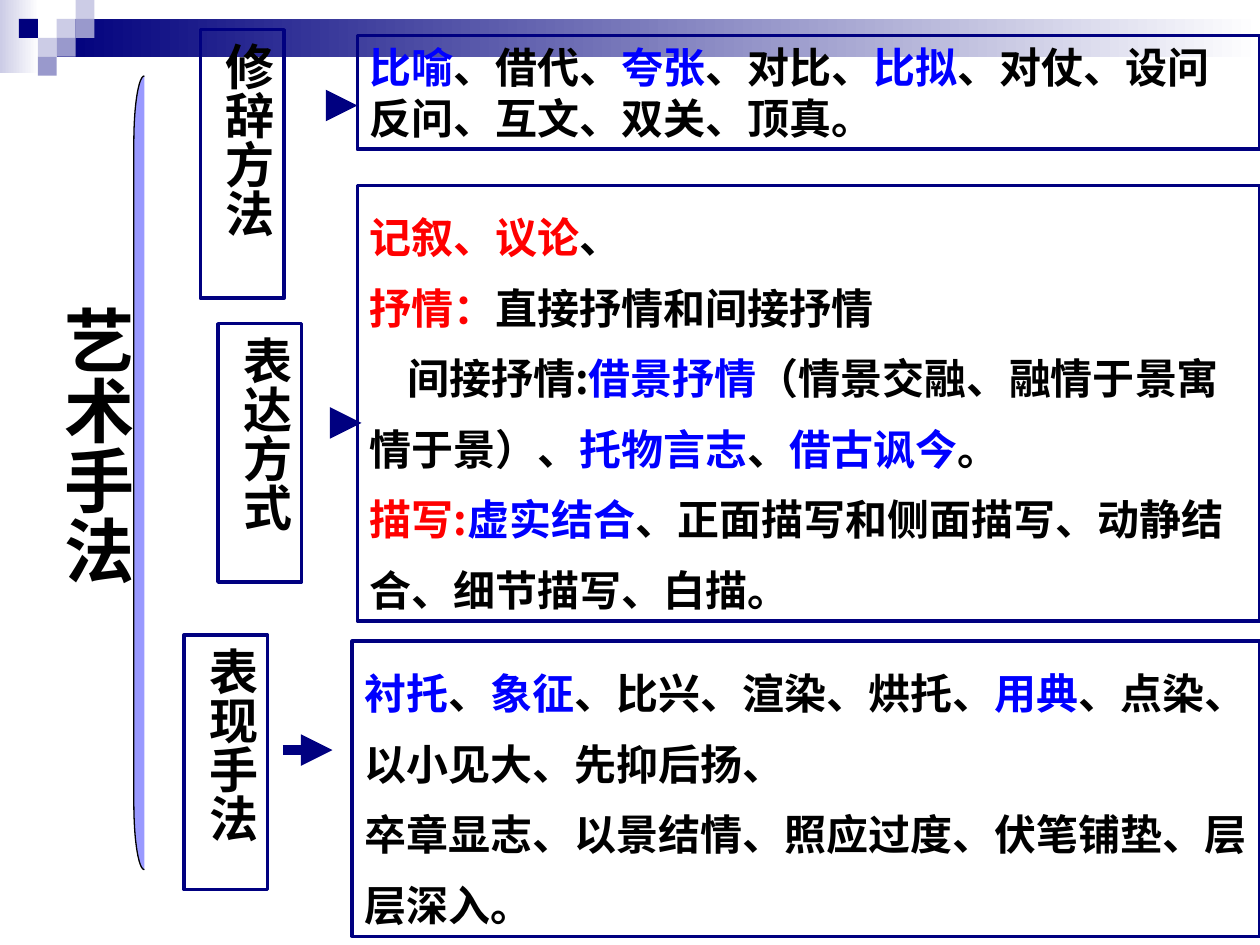
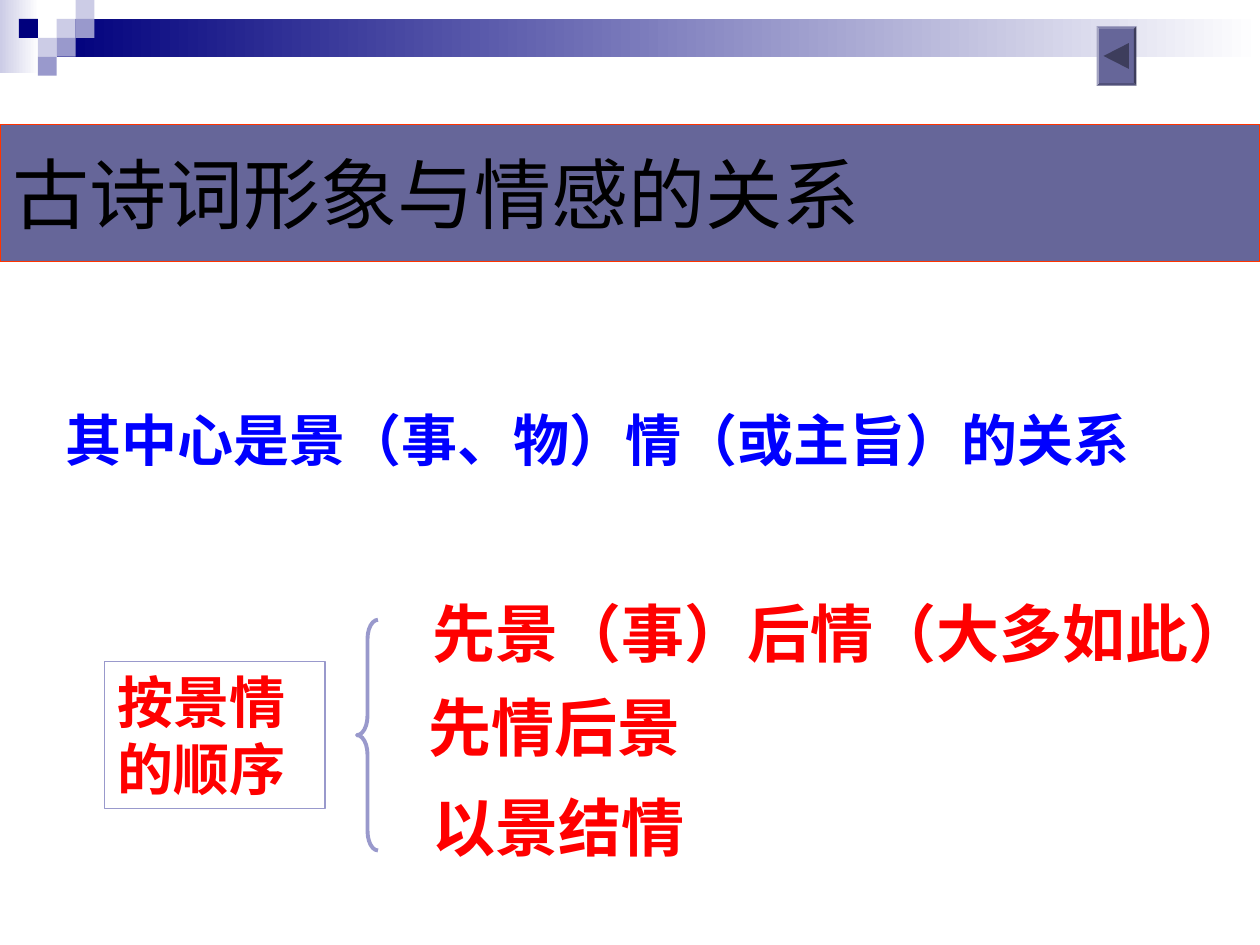
import pptx
import pptx.util
import pptx.dml.color
import pptx.enum.shapes
import pptx.enum.text
import pptx.oxml
import pptx.oxml.ns

Pt = pptx.util.Pt
RGB = pptx.dml.color.RGBColor
Kind = pptx.enum.shapes.MSO_SHAPE
Align = pptx.enum.text.PP_ALIGN

NAVY = RGB(0x00, 0x00, 0x7D)
EDGE = RGB(0x00, 0x00, 0x80)
PALE = RGB(0xCC, 0xCC, 0xE6)
LILAC = RGB(0x99, 0x99, 0xCC)
VIOLET = RGB(0x99, 0x99, 0xFF)
SLATE = RGB(0x66, 0x66, 0x99)
DARK = RGB(0x3D, 0x3D, 0x5C)
ORANGE = RGB(0xFF, 0x33, 0x00)
WHITE = RGB(0xFF, 0xFF, 0xFF)
BLACK = RGB(0x00, 0x00, 0x00)
RED = RGB(0xFF, 0x00, 0x00)
BLUE = RGB(0x00, 0x00, 0xFF)
LATIN = "Arial"
HAN = "Noto Sans CJK SC"
ROMAN = "Times New Roman"
CELL = 10.8


def draw(slide, kind, place, fill=None, edge=None, width=0.75):
    shape = slide.shapes.add_shape(kind, *[Pt(v) for v in place])
    shape.shadow.inherit = False
    if fill is None:
        shape.fill.background()
    else:
        shape.fill.solid()
        shape.fill.fore_color.rgb = fill
    if edge is None:
        shape.line.fill.background()
    else:
        shape.line.color.rgb = edge
        shape.line.width = Pt(width)
    return shape


def write(shape, rows, size, font=LATIN, bold=True, space=None, tall=False):
    frame = shape.text_frame
    frame.auto_size = pptx.enum.text.MSO_AUTO_SIZE.NONE
    frame.word_wrap = not tall
    frame.vertical_anchor = pptx.enum.text.MSO_ANCHOR.TOP
    side, end = (3.6, 7.2) if tall else (7.2, 3.6)
    frame.margin_left = frame.margin_right = Pt(side)
    frame.margin_top = frame.margin_bottom = Pt(end)
    if tall:
        frame._txBody.find(pptx.oxml.ns.qn("a:bodyPr")).set("vert", "eaVert")
    for n, row in enumerate(rows):
        para = frame.add_paragraph() if n else frame.paragraphs[0]
        para.alignment = Align.CENTER if tall else Align.LEFT
        if space:
            para.line_spacing = space
        for text, tint in row:
            run = para.add_run()
            run.text = text
            run.font.name = font
            run.font.size = Pt(size)
            run.font.bold = bold
            run.font.color.rgb = tint


deck = pptx.Presentation()
deck.slide_width = Pt(720)
deck.slide_height = Pt(540)
arts = deck.slides.add_slide(deck.slide_layouts[6])
links = deck.slides.add_slide(deck.slide_layouts[5])

fades = [((0, 0, 22.3, 41.8), PALE), ((32.4, 10.8, 687.6, 21.6), NAVY)]
tiles = [(3, 1, PALE), (4, 0, PALE), (4, 1, LILAC), (2, 2, PALE),
         (1, 1, NAVY), (3, 2, LILAC), (2, 3, LILAC)]
for slide in (arts, links):
    for place, tint in fades:
        band = draw(slide, Kind.RECTANGLE, place)
        band.fill.gradient()
        band.fill.gradient_angle = 0
        for stop, shade in zip(band.fill.gradient_stops, (tint, WHITE)):
            stop.color.rgb = shade
    for col, row, tint in tiles:
        draw(slide, Kind.RECTANGLE, (col * CELL, row * CELL, CELL, CELL), tint)

head = arts.shapes.add_textbox(Pt(20.9), Pt(167.8), Pt(61.9), Pt(175.7))
write(head, [[("艺术手法", BLACK)]], 40, tall=True)

labels = [("表达方式", 124.6, 185, 147.6), ("表现手法", 105.1, 362.9, 145.4),
          ("修辞方法", 114.5, 17, 153.4)]
for text, left, top, height in labels:
    label = draw(arts, Kind.RECTANGLE, (left, top, 47.8, height), None, EDGE, 2)
    write(label, [[(text, BLACK)]], 28, tall=True)

modes = [
    [("记叙、议论", RED), ("、", BLACK)],
    [("抒情：", RED), ("直接抒情和间接抒情", BLACK)],
    [("间接抒情:", BLACK), ("借景抒情", BLUE),
     ("（情景交融、融情于景寓情于景）、", BLACK), ("托物言志", BLUE),
     ("、", BLACK), ("借古讽今", BLUE), ("。", BLACK)],
    [("描写:", RED), ("虚实结合", BLUE),
     ("、正面描写和侧面描写、动静结合、细节描写、白描。", BLACK)],
]
skills = [
    [("衬托", BLUE), ("、", BLACK), ("象征", BLUE), ("、比兴、渲染、烘托、", BLACK),
     ("用典", BLUE), ("、点染、", BLACK)],
    [("以小见大、先抑后扬、", BLACK)],
    [("卒章显志、以景结情、照应过度、伏笔铺垫、层层深入。", BLACK)],
]
tropes = [
    [("比喻", BLUE), ("、借代、", BLACK), ("夸张", BLUE), ("、对比、", BLACK),
     ("比拟", BLUE), ("、对仗、设问反问、互文、双关、顶真。", BLACK)],
]
panels = [(modes, (204.2, 106, 515.8, 249), HAN, 1.4),
          (skills, (201.3, 366.4, 518.7, 168.7), HAN, 1.4),
          (tropes, (204.2, 20.3, 515.8, 65), LATIN, None)]
for rows, place, font, space in panels:
    panel = draw(arts, Kind.RECTANGLE, place, None, EDGE, 2)
    write(panel, rows, 24, font, space=space)
    if rows is modes:
        para = panel.text_frame.paragraphs[2]
        para._p.get_or_add_pPr().set("indent", str(Pt(21.5)))

brace = draw(arts, Kind.LEFT_BRACKET, (76.5, 43.4, 6, 453.6), VIOLET, BLACK)
brace.adjustments[0] = 6.3

for left, right, y in [(189.8, 206.6, 241.7), (161.6, 190, 428.6), (187.2, 204.2, 60.3)]:
    arrow = arts.shapes.add_connector(
        pptx.enum.shapes.MSO_CONNECTOR.STRAIGHT, Pt(left), Pt(y), Pt(right), Pt(y))
    arrow.line.color.rgb = EDGE
    arrow.line.width = Pt(6)
    tip = pptx.oxml.parse_xml('<a:tailEnd %s type="triangle"/>' % pptx.oxml.ns.nsdecls("a"))
    arrow.line._get_or_add_ln().append(tip)
    flat = pptx.oxml.parse_xml("<a:effectLst %s/>" % pptx.oxml.ns.nsdecls("a"))
    arrow._element.spPr.append(flat)

title = links.shapes.title
title.left, title.top, title.width, title.height = Pt(0), Pt(71.3), Pt(720), Pt(78)
title.fill.solid()
title.fill.fore_color.rgb = SLATE
title.line.color.rgb = ORANGE
title.line.width = Pt(0.75)
write(title, [[("古诗词形象与情感的关系", BLACK)]], 44, bold=False)
title.text_frame.vertical_anchor = pptx.enum.text.MSO_ANCHOR.MIDDLE

notes = [("其中心是景（事、物）情（或主旨）的关系", BLUE, 32, (30.2, 228.2, 689.8, 46)),
         ("先景（事）后情（大多如此）", RED, 36, (240, 336.2, 491.8, 50.4)),
         ("以景结情", RED, 36, (240, 447.1, 264.2, 50.4)),
         ("先情后景", RED, 36, (237.6, 390, 163.4, 50.4))]
for text, tint, size, place in notes:
    note = links.shapes.add_textbox(*[Pt(v) for v in place])
    write(note, [[(text, tint)]], size)

order = draw(links, Kind.RECTANGLE, (59.8, 378, 126, 84.2), None, LILAC)
write(order, [[("按景情的顺序", RED)]], 32, ROMAN)

curl = draw(links, Kind.LEFT_BRACE, (204, 354.2, 12, 131.8), None, LILAC, 2.25)
curl.adjustments[0] = 0.92

back = draw(links, Kind.BEVEL, (626.6, 15.1, 22.7, 33.8), SLATE)
back.adjustments[0] = 0.06
pen = links.shapes.build_freeform(Pt(630.6), Pt(32))
pen.add_line_segments([(Pt(645.1), Pt(24.6)), (Pt(645.1), Pt(39.4))], close=True)
mark = pen.convert_to_shape()
mark.shadow.inherit = False
mark.fill.solid()
mark.fill.fore_color.rgb = DARK
mark.line.fill.background()

deck.save("out.pptx")
